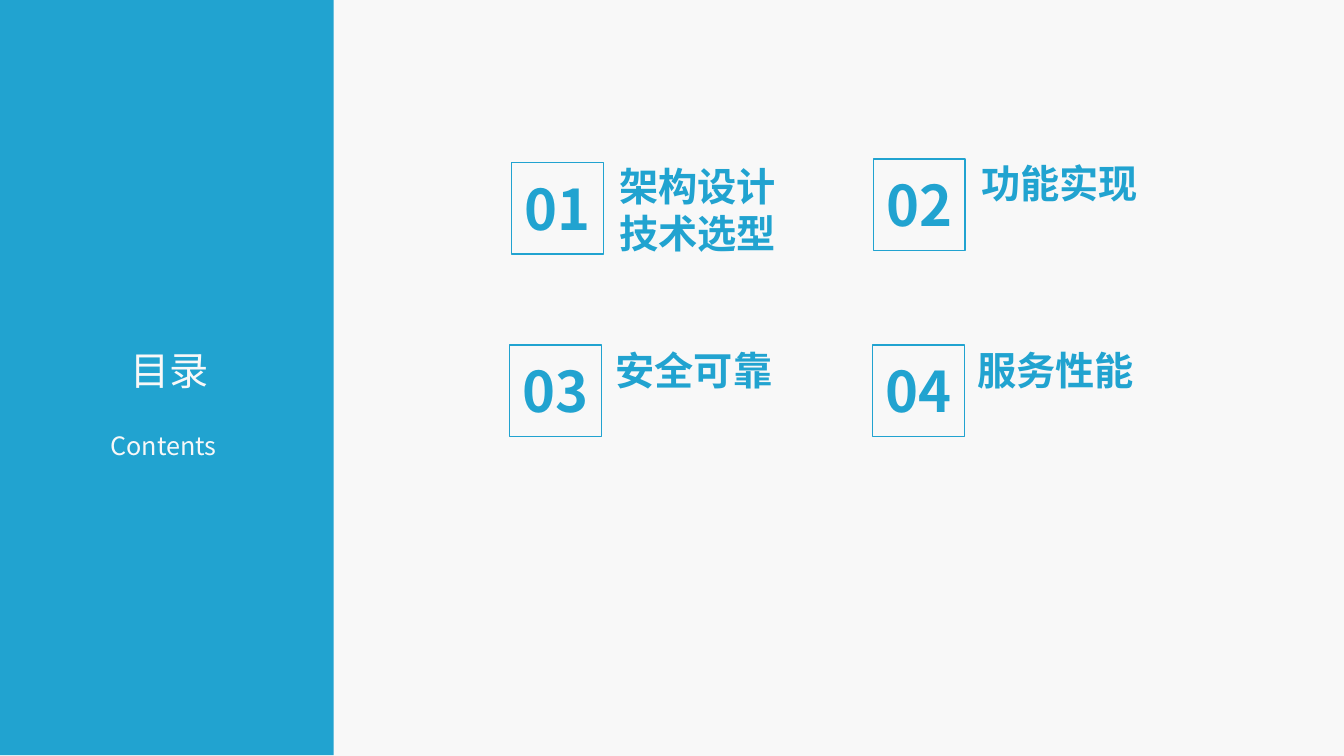
from dataclasses import dataclass

from lxml.etree import SubElement
from pptx import Presentation
from pptx.dml.color import RGBColor
from pptx.enum.shapes import MSO_SHAPE
from pptx.enum.text import MSO_AUTO_SIZE, PP_ALIGN
from pptx.oxml.ns import qn
from pptx.util import Cm, Pt


@dataclass(frozen=True)
class Theme:
    font: str = "Noto Sans CJK SC"
    accent: RGBColor = RGBColor(0x21, 0xA3, 0xD0)
    paper: RGBColor = RGBColor(0xF8, 0xF8, 0xF8)
    number: int = 40
    heading: int = 28
    caption: int = 18
    outline: int = 1


THEME = Theme()
SQUARE = 2.31
NUMBER_HEIGHT = 1.96
LINE_HEIGHT = 1.19
# left and top of the square, left and top of the title, title lines
CHAPTERS = [
    (12.9, 4.09, 15.37, 3.96, ["架构设计", "技术选型"]),
    (22.02, 4.01, 24.49, 3.89, ["功能实现"]),
    (12.85, 8.69, 15.27, 8.59, ["安全可靠"]),
    (22, 8.69, 24.38, 8.59, ["服务性能"]),
]


def format_run(r, text, *, size, color, bold=False):
    """Set the text and its format, for Latin and East Asian letters alike."""
    r.text = text
    r.font.name = THEME.font
    r.font.size = Pt(size)
    r.font.bold = bold
    r.font.color.rgb = color
    SubElement(r.font._element, qn("a:ea"), typeface=THEME.font)


class SlideBuilder:
    def __init__(self, slide, theme):
        self.slide = slide
        self.theme = theme
        self.shapes = slide.shapes

    def background(self):
        fill = self.slide.background.fill
        fill.solid()
        fill.fore_color.rgb = self.theme.paper

    def group(self):
        """Start a group that takes the elements added next."""
        self.shapes = self.slide.shapes.add_group_shape().shapes

    def rect(self, x, y, w, h, *, fill=None, line=None):
        sp = self.shapes.add_shape(MSO_SHAPE.RECTANGLE, Cm(x), Cm(y), Cm(w), Cm(h))
        sp.shadow.inherit = False
        if fill is None:
            sp.fill.background()
        else:
            sp.fill.solid()
            sp.fill.fore_color.rgb = fill
        if line is None:
            sp.line.fill.background()
        else:
            sp.line.color.rgb = line
            sp.line.width = Pt(self.theme.outline)

    def text(self, x, y, w, h, lines, *, align=PP_ALIGN.LEFT, wrap=True, **style):
        tf = self.shapes.add_textbox(Cm(x), Cm(y), Cm(w), Cm(h)).text_frame
        tf.word_wrap = wrap
        tf.auto_size = MSO_AUTO_SIZE.SHAPE_TO_FIT_TEXT
        for i, line in enumerate(lines):
            p = tf.add_paragraph() if i else tf.paragraphs[0]
            p.alignment = align
            format_run(p.add_run(), line, **style)

    def chapter(self, number, x, y, title_x, title_y, lines):
        t = self.theme
        self.group()
        self.text(title_x, title_y, 6.65, 0.25 + LINE_HEIGHT * len(lines), lines,
                  size=t.heading, color=t.accent, bold=True)
        self.text(x, y + (SQUARE - NUMBER_HEIGHT) / 2, SQUARE, NUMBER_HEIGHT,
                  [f"{number:02}"], align=PP_ALIGN.CENTER,
                  size=t.number, color=t.accent, bold=True)
        self.rect(x, y, SQUARE, SQUARE, line=t.accent)

    def side_panel(self):
        t = self.theme
        self.group()
        self.rect(-0.02, -0.02, 8.43, 19.05, fill=t.accent)
        self.text(3.05, 8.61, 2.51, 1.44, ["目录"], wrap=False,
                  size=t.heading, color=t.paper)
        self.text(2.54, 10.72, 3.28, 1.02, ["Contents"], wrap=False,
                  size=t.caption, color=t.paper)


def main():
    prs = Presentation()
    prs.slide_width, prs.slide_height = Cm(33.88), Cm(19.05)
    builder = SlideBuilder(prs.slides.add_slide(prs.slide_layouts[6]), THEME)
    builder.background()
    for number, chapter in enumerate(CHAPTERS, 1):
        builder.chapter(number, *chapter)
    builder.side_panel()
    prs.save("out.pptx")


if __name__ == "__main__":
    main()
